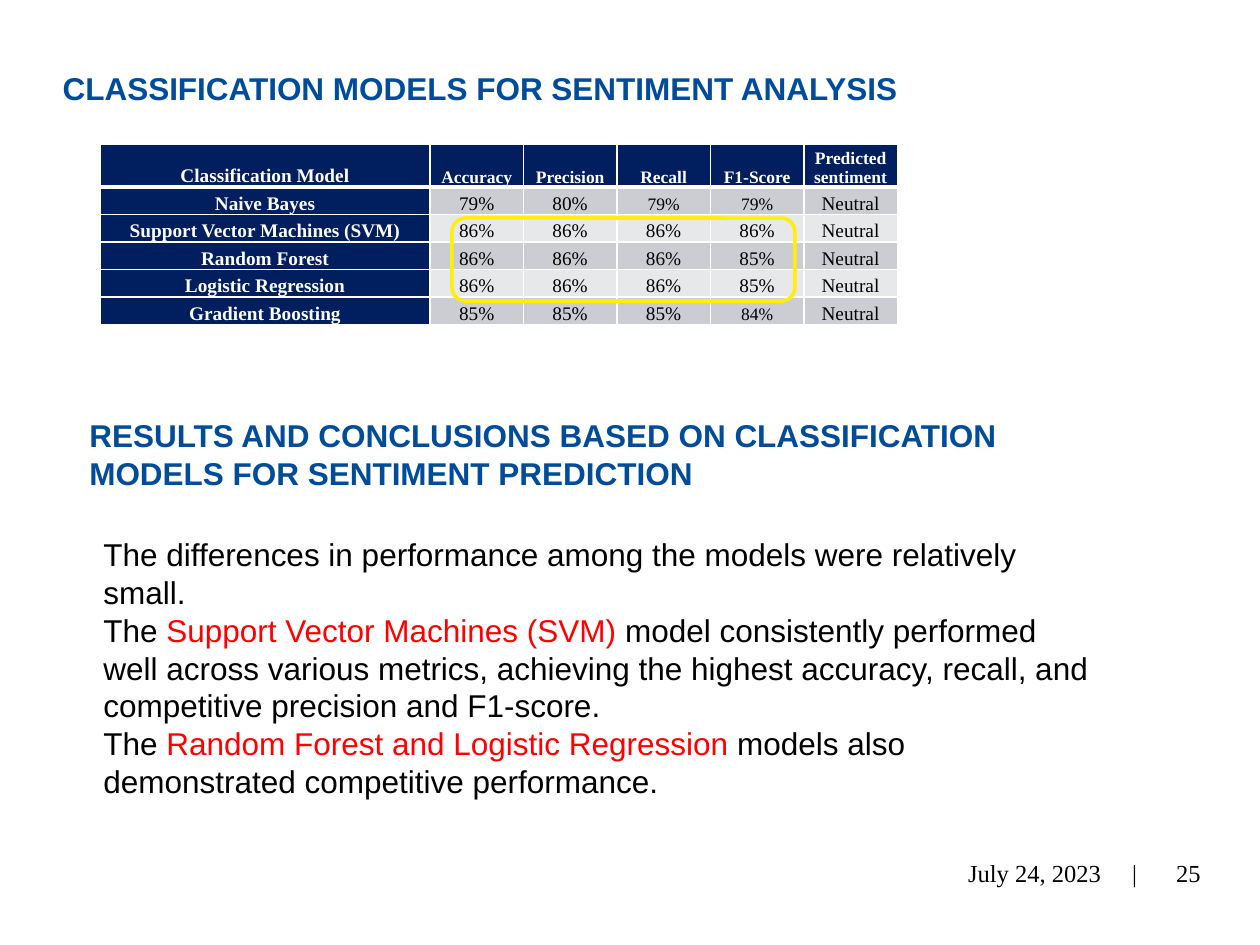
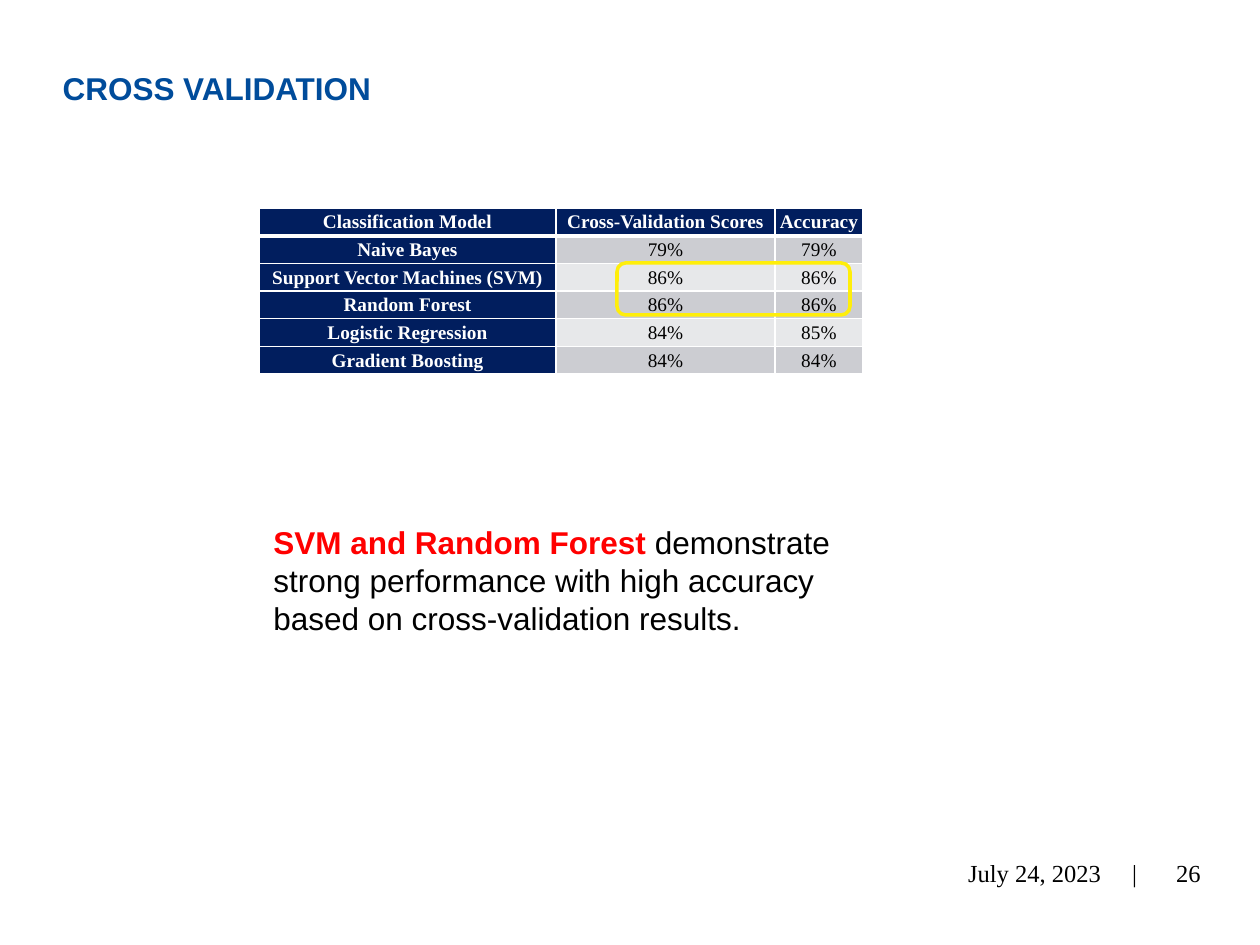
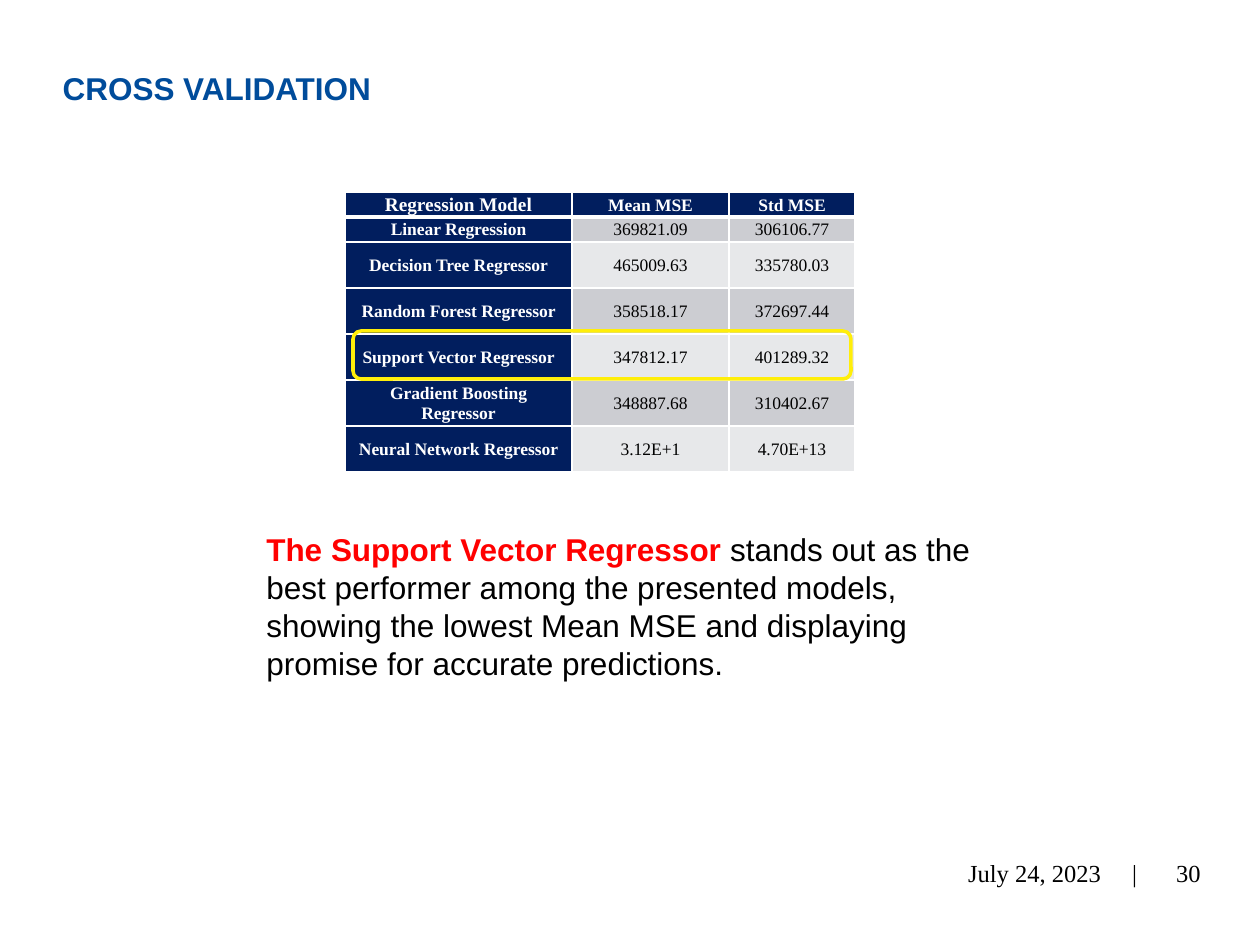
from lxml import etree
from pptx import Presentation
from pptx import util as u
from pptx.dml import color
from pptx.enum import shapes, text
from pptx.oxml import ns

EMU_PER_PX = 914400 / 126
SANS, SERIF = "Arial", "Times New Roman"
BLUE, NAVY, RED, YELLOW = "004C9B", "011E5E", "FF0000", "FFEE0A"
BLACK, WHITE = "000000", "FFFFFF"
BANDS = ("CCCDD2", "E7E8EA")
HEADING = {"name": SANS, "size": u.Pt(18), "bold": True}
BODY = {"name": SANS, "size": u.Pt(18), "bold": False}
FOOTER = {"name": SERIF, "size": u.Pt(14), "bold": False}


def px(length):
    return u.Emu(round(length * EMU_PER_PX))


def rgb(value):
    return color.RGBColor.from_string(value)


def apply(target, values):
    for name, value in values.items():
        setattr(target, name, value)


def add_span(para, words, formats, ink=BLACK):
    span = para.add_run()
    span.text = words
    apply(span.font, formats)
    span.font.color.rgb = rgb(ink)


def add_page(deck, title, number):
    page = deck.slides.add_slide(deck.slide_layouts[5])
    heading = page.shapes.title
    apply(heading, {"left": px(50), "top": px(54), "width": px(1164), "height": px(147)})
    apply(heading.text_frame, {
        "word_wrap": True,
        "auto_size": text.MSO_AUTO_SIZE.NONE,
        "vertical_anchor": text.MSO_ANCHOR.TOP,
    })
    para = heading.text_frame.paragraphs[0]
    apply(para, {"alignment": text.PP_ALIGN.LEFT, "line_spacing": u.Pt(26.6)})
    add_span(para, title, HEADING, BLUE)
    add_footer(page, number)
    return page


def add_box(page, left, top, width, height, anchor=text.MSO_ANCHOR.TOP):
    box = page.shapes.add_textbox(px(left), px(top), px(width), px(height))
    apply(box.text_frame, {"word_wrap": True, "vertical_anchor": anchor})
    return box.text_frame


def add_footer(page, number):
    date = add_box(page, 864, 848, 286, 50, text.MSO_ANCHOR.MIDDLE)
    date.margin_left = px(104)
    para = date.paragraphs[0]
    stops = etree.SubElement(para._p.get_or_add_pPr(), ns.qn("a:tabLst"))
    etree.SubElement(stops, ns.qn("a:tab"), pos=str(px(164)), algn="l")
    add_span(para, "July 24, 2023\t|", FOOTER)

    counter = add_box(page, 1120, 848, 93, 50, text.MSO_ANCHOR.MIDDLE)
    counter.paragraphs[0].alignment = text.PP_ALIGN.RIGHT
    add_span(counter.paragraphs[0], str(number), FOOTER)


def add_text(page, place, paragraphs):
    frame = add_box(page, *place)
    frame.auto_size = text.MSO_AUTO_SIZE.SHAPE_TO_FIT_TEXT
    for index, spans in enumerate(paragraphs):
        para = frame.add_paragraph() if index else frame.paragraphs[0]
        para.line_spacing = u.Pt(21.6)
        for span in spans:
            add_span(para, *span)


def add_borders(cell, bottom_width):
    properties = cell._tc.get_or_add_tcPr()
    widths = {"lnL": 1, "lnR": 1, "lnT": 1, "lnB": bottom_width}
    for index, (side, width) in enumerate(widths.items()):
        line = etree.Element(ns.qn(f"a:{side}"), w=str(u.Pt(width)))
        fill = etree.SubElement(line, ns.qn("a:solidFill"))
        etree.SubElement(fill, ns.qn("a:srgbClr"), val=WHITE)
        properties.insert(index, line)


def add_model_table(page, left, top, widths, heights, rows, size, cell_format,
                    other_size=None, other_cells=(), spacing=1.0):
    frame = page.shapes.add_table(len(rows), len(widths), px(left), px(top),
                                  px(sum(widths)), px(sum(heights)))
    table = frame.table
    for column, width in zip(table.columns, widths):
        column.width = px(width)
    for line, height in zip(table.rows, heights):
        line.height = px(height)
    for r, values in enumerate(rows):
        for c, value in enumerate(values):
            cell = table.cell(r, c)
            label = r == 0 or c == 0
            apply(cell, cell_format)
            cell.fill.solid()
            cell.fill.fore_color.rgb = rgb(NAVY if label else BANDS[(r - 1) % 2])
            add_borders(cell, 1 if r else 3)
            para = cell.text_frame.paragraphs[0]
            apply(para, {"alignment": text.PP_ALIGN.CENTER, "line_spacing": spacing})
            points = other_size if (r, c) in other_cells else size
            add_span(para, value, {"name": SERIF, "size": u.Pt(points), "bold": label},
                     WHITE if label else BLACK)


def add_highlight(page, left, top, width, height):
    outline = page.shapes.add_shape(shapes.MSO_SHAPE.ROUNDED_RECTANGLE,
                                    px(left), px(top), px(width), px(height))
    outline.shadow.inherit = False
    outline.fill.background()
    outline.line.color.rgb = rgb(YELLOW)
    outline.line.width = u.Pt(2)


def cell_format(anchor, side, top):
    return {"vertical_anchor": anchor, "margin_left": px(side), "margin_right": px(side),
            "margin_top": px(top), "margin_bottom": 0}


def add_classification(deck):
    page = add_page(deck, "CLASSIFICATION MODELS FOR SENTIMENT ANALYSIS", 25)
    rows = [
        ("Classification Model", "Accuracy", "Precision", "Recall", "F1-Score",
         "Predicted sentiment"),
        ("Naive Bayes", "79%", "80%", "79%", "79%", "Neutral"),
        ("Support Vector Machines (SVM)", "86%", "86%", "86%", "86%", "Neutral"),
        ("Random Forest", "86%", "86%", "86%", "85%", "Neutral"),
        ("Logistic Regression", "86%", "86%", "86%", "85%", "Neutral"),
        ("Gradient Boosting", "85%", "85%", "85%", "84%", "Neutral"),
    ]
    small = {(0, c) for c in range(1, 6)} | {(1, 3), (1, 4), (5, 4)}
    add_model_table(page, 100, 144, [330] + [93.5] * 5, [40] + [27.5] * 5, rows, 11,
                    cell_format(text.MSO_ANCHOR.BOTTOM, 1, 1), 10, small)
    add_highlight(page, 452, 218, 343, 83)
    add_text(page, (91, 529, 1013, 280), [
        [("The differences in performance among the models were relatively small.", BODY)],
        [("The ", BODY), ("Support Vector Machines (SVM)", BODY, RED),
         (" model consistently performed well across various metrics, achieving the "
          "highest accuracy, recall, and competitive precision and F1-score.", BODY)],
        [("The ", BODY), ("Random Forest and Logistic Regression ", BODY, RED),
         ("models also demonstrated competitive performance.", BODY)],
    ])
    add_text(page, (77, 410, 1043, 89), [
        [("RESULTS AND CONCLUSIONS BASED ON CLASSIFICATION MODELS FOR SENTIMENT PREDICTION",
          HEADING, BLUE)],
    ])


def add_classification_validation(deck):
    page = add_page(deck, "CROSS VALIDATION", 26)
    add_text(page, (261, 517, 630, 127), [
        [("SVM and Random Forest ", HEADING, RED),
         ("demonstrate strong performance with high accuracy based on "
          "cross-validation results.", BODY)],
    ])
    rows = [
        ("Classification Model", "Cross-Validation Scores", "Accuracy"),
        ("Naive Bayes", "79%", "79%"),
        ("Support Vector Machines (SVM)", "86%", "86%"),
        ("Random Forest", "86%", "86%"),
        ("Logistic Regression", "84%", "85%"),
        ("Gradient Boosting", "84%", "84%"),
    ]
    add_model_table(page, 259, 208, [297, 219, 88], [28] + [27.6] * 5, rows, 11,
                    cell_format(text.MSO_ANCHOR.MIDDLE, 1, 1))
    add_highlight(page, 617, 263, 233, 52)


def add_regression_validation(deck):
    page = add_page(deck, "CROSS VALIDATION", 30)
    rows = [
        ("Regression Model", "Mean MSE", "Std MSE"),
        ("Linear Regression", "369821.09", "306106.77"),
        ("Decision Tree Regressor", "465009.63", "335780.03"),
        ("Random Forest Regressor", "358518.17", "372697.44"),
        ("Support Vector Regressor", "347812.17", "401289.32"),
        ("Gradient Boosting Regressor", "348887.68", "310402.67"),
        ("Neural Network Regressor", "3.12E+1", "4.70E+13"),
    ]
    add_model_table(page, 345, 192, [227, 157, 126], [25] * 2 + [46] * 5, rows, 10,
                    cell_format(text.MSO_ANCHOR.MIDDLE, 9, 0), 11, {(0, 0)}, 1.07)
    add_text(page, (254, 524, 756, 165), [
        [("The Support Vector Regressor", HEADING, RED),
         (" stands out as the best performer among the presented models, showing the "
          "lowest Mean MSE and displaying promise for accurate predictions.", BODY)],
    ])
    add_highlight(page, 353, 331, 498, 48)


def main():
    deck = Presentation()
    apply(deck, {"slide_width": px(1260), "slide_height": px(945)})
    add_classification(deck)
    add_classification_validation(deck)
    add_regression_validation(deck)
    deck.save("out.pptx")


if __name__ == "__main__":
    main()
